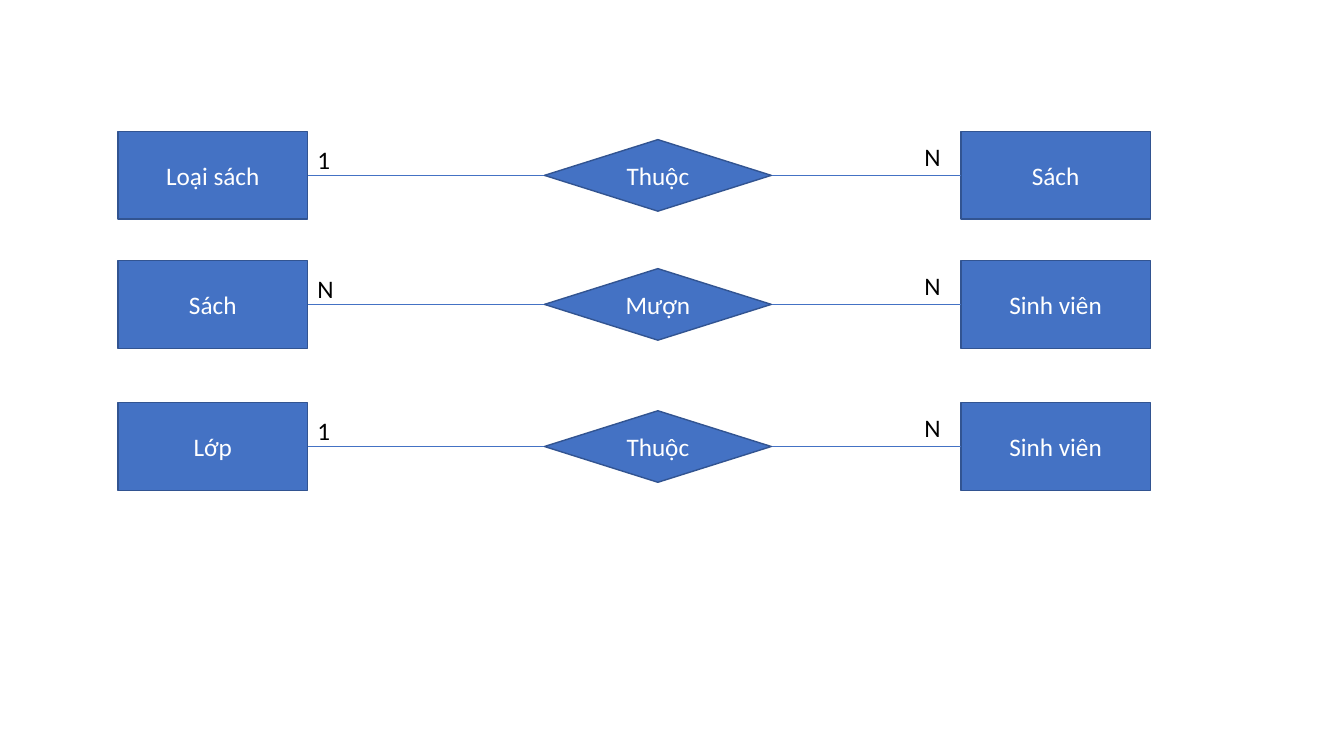
from dataclasses import dataclass

from pptx import Presentation
from pptx.dml.color import RGBColor
from pptx.enum.shapes import MSO_CONNECTOR, MSO_SHAPE
from pptx.enum.text import MSO_ANCHOR, MSO_AUTO_SIZE, PP_ALIGN
from pptx.oxml.ns import qn
from pptx.util import Inches, Pt
from lxml.etree import SubElement

BLUE, OUTLINE, WHITE, BLACK = "4472C4", "325491", "FFFFFF", "000000"
LEFT_X, RIGHT_X, ENTITY_W, ENTITY_H = 1.17, 9.53, 1.88, 0.87
DIAMOND_X, DIAMOND_W, DIAMOND_H = 5.4, 2.25, 0.71
LEFT_END = LEFT_X + ENTITY_W


@dataclass
class Relationship:
    middle: float
    left: str
    left_count: str
    verb: str
    right_count: str
    right: str


RELATIONSHIPS = [
    Relationship(1.74, "Loại sách", "1", "Thuộc", "N", "Sách"),
    Relationship(3.02, "Sách", "N", "Mượn", "N", "Sinh viên"),
    Relationship(4.43, "Lớp", "1", "Thuộc", "N", "Sinh viên"),
]


def rgb(color: str) -> RGBColor:
    return RGBColor.from_string(color)


def write(s, text: str, color: str, align: PP_ALIGN) -> None:
    p = s.text_frame.paragraphs[0]
    p.text = text
    p.alignment = align
    p.font.name = "Calibri"
    p.font.size = Pt(18)
    p.font.color.rgb = rgb(color)


def add_node(slide, kind: MSO_SHAPE, x: float, middle: float,
             w: float, h: float, text: str) -> None:
    s = slide.shapes.add_shape(
        kind, Inches(x), Inches(middle - h / 2), Inches(w), Inches(h))
    s.shadow.inherit = False
    s.fill.solid()
    s.fill.fore_color.rgb = rgb(BLUE)
    s.line.color.rgb = rgb(OUTLINE)
    s.line.width = Pt(1)
    s.text_frame.vertical_anchor = MSO_ANCHOR.MIDDLE
    write(s, text, WHITE, PP_ALIGN.CENTER)


def add_link(slide, middle: float) -> None:
    s = slide.shapes.add_connector(
        MSO_CONNECTOR.STRAIGHT, Inches(LEFT_END), Inches(middle),
        Inches(RIGHT_X), Inches(middle))
    s.line.color.rgb = rgb(BLUE)
    s.line.width = Pt(0.5)
    SubElement(s._element.spPr, qn("a:effectLst"))


def add_count(slide, x: float, y: float, w: float, text: str) -> None:
    s = slide.shapes.add_textbox(Inches(x), Inches(y), Inches(w), Inches(0.4))
    s.text_frame.word_wrap = True
    s.text_frame.auto_size = MSO_AUTO_SIZE.SHAPE_TO_FIT_TEXT
    write(s, text, BLACK, PP_ALIGN.LEFT)


def add_relationship(slide, rel: Relationship) -> None:
    for x, name in ((LEFT_X, rel.left), (RIGHT_X, rel.right)):
        add_node(slide, MSO_SHAPE.RECTANGLE, x, rel.middle,
                 ENTITY_W, ENTITY_H, name)
    add_link(slide, rel.middle)
    add_node(slide, MSO_SHAPE.FLOWCHART_DECISION, DIAMOND_X, rel.middle,
             DIAMOND_W, DIAMOND_H, rel.verb)
    add_count(slide, 9.07, rel.middle - 0.39, 0.61, rel.right_count)
    add_count(slide, LEFT_END, rel.middle - 0.36, 0.94, rel.left_count)


prs = Presentation()
prs.slide_width = Inches(13.33)
prs.slide_height = Inches(7.5)
slide = prs.slides.add_slide(prs.slide_layouts[6])
for rel in RELATIONSHIPS:
    add_relationship(slide, rel)
prs.save("out.pptx")
